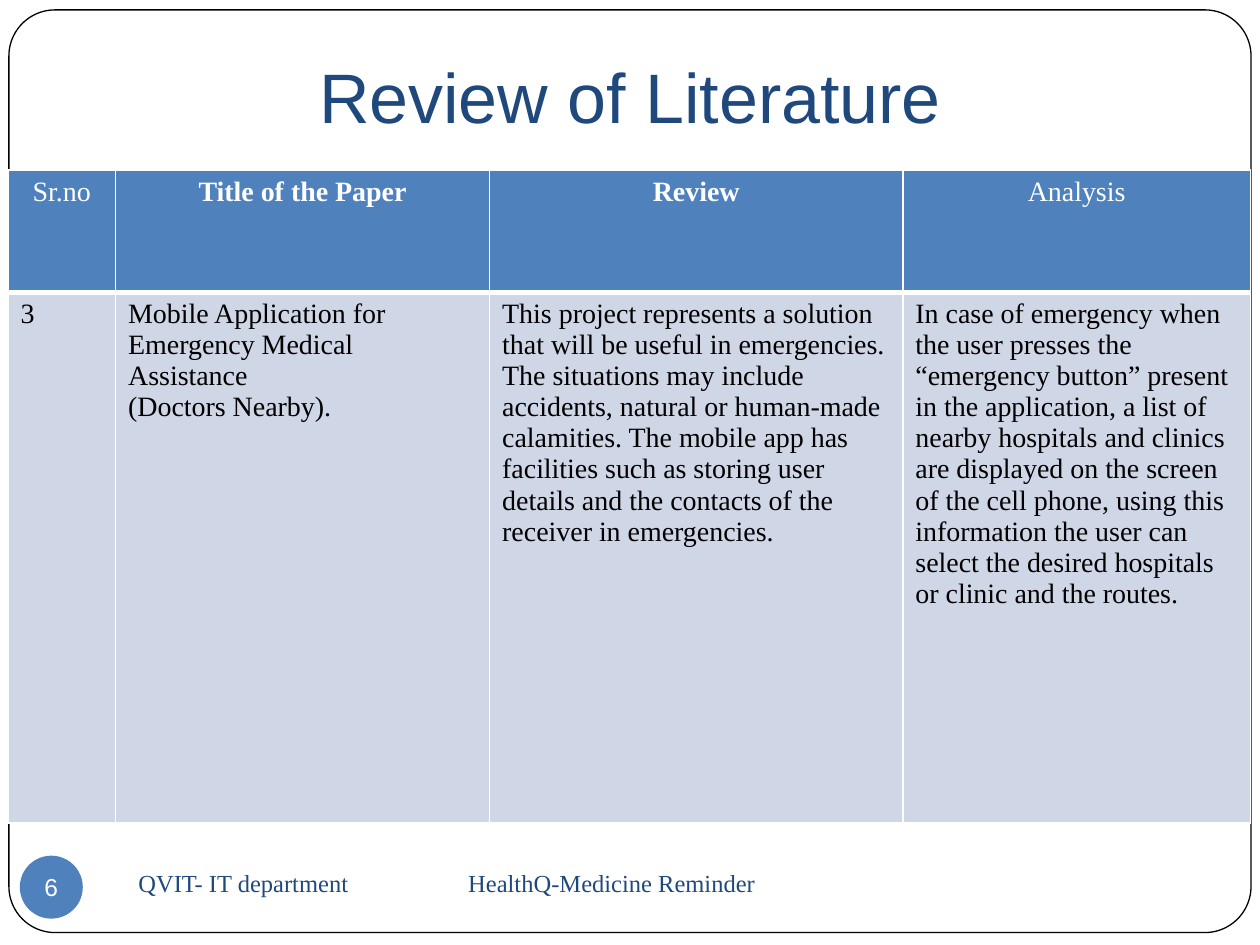
import pptx
import pptx.dml.color
import pptx.enum.shapes
import pptx.enum.text
import pptx.oxml
import pptx.oxml.ns
import pptx.util
from dataclasses import dataclass

Cm = pptx.util.Cm
PP_ALIGN = pptx.enum.text.PP_ALIGN
ANCHOR = pptx.enum.text.MSO_ANCHOR
SHAPE = pptx.enum.shapes.MSO_SHAPE


@dataclass(frozen=True)
class Theme:
    white: str = "FFFFFF"
    black: str = "000000"
    navy: str = "1F497D"
    blue: str = "4F81BD"
    pale: str = "CFD7E7"
    sans: str = "Arial"
    serif: str = "Times New Roman"
    title_size: int = 40
    table_size: int = 16
    footer_size: int = 14


theme = Theme()


def rgb(value):
    return pptx.dml.color.RGBColor.from_string(value)


def write(text_frame, text, font, size, color, align=PP_ALIGN.LEFT, bold=False):
    text_frame.text = text
    text_frame.word_wrap = True
    for paragraph in text_frame.paragraphs:
        paragraph.alignment = align
        for run in paragraph.runs:
            run.font.name = font
            run.font.size = pptx.util.Pt(size)
            run.font.color.rgb = rgb(color)
            run.font.bold = bold


presentation = pptx.Presentation()
presentation.slide_width = Cm(25.4)
presentation.slide_height = Cm(19.05)
slide = presentation.slides.add_slide(presentation.slide_layouts[6])

# Rounded page frame
frame = slide.shapes.add_shape(
    SHAPE.ROUNDED_RECTANGLE, Cm(0.18), Cm(0.2), Cm(25.04), Cm(18.6))
frame.adjustments[0] = 0.05
frame.shadow.inherit = False
frame.fill.solid()
frame.fill.fore_color.rgb = rgb(theme.white)
frame.line.color.rgb = rgb(theme.black)
frame.line.width = pptx.util.Pt(0.75)

# Title
title = slide.shapes.add_textbox(0, Cm(0.64), Cm(25.4), Cm(2.39))
title.text_frame.vertical_anchor = ANCHOR.BOTTOM
title.text_frame.margin_bottom = Cm(0.25)
write(title.text_frame, "Review of Literature", theme.sans, theme.title_size,
      theme.navy, PP_ALIGN.CENTER)

# Page number
badge = slide.shapes.add_shape(SHAPE.OVAL, Cm(0.4), Cm(17.25), Cm(1.27), Cm(1.27))
badge.shadow.inherit = False
badge.fill.solid()
badge.fill.fore_color.rgb = rgb(theme.blue)
badge.line.fill.background()
badge_frame = badge.text_frame
badge_frame.margin_left = badge_frame.margin_right = 0
badge_frame.margin_top = badge_frame.margin_bottom = 0
badge_frame.vertical_anchor = ANCHOR.MIDDLE
write(badge_frame, "6", theme.sans, theme.footer_size, theme.white, PP_ALIGN.CENTER)

# Literature table
column_widths = [2.17, 7.54, 8.33, 7.01]
row_heights = [2.46, 10.7]
headings = [("Sr.no", False), ("Title of the Paper", True),
            ("Review", True), ("Analysis", False)]
paper = [
    "3",
    "Mobile Application for Emergency Medical Assistance\n(Doctors Nearby).",
    "This project represents a solution that will be useful in emergencies. "
    "The situations may include accidents, natural or human-made calamities. "
    "The mobile app has facilities such as storing user details and the "
    "contacts of the receiver in emergencies.",
    "In case of emergency when the user presses the “emergency button” present "
    "in the application, a list of nearby hospitals and clinics are displayed "
    "on the screen of the cell phone, using this information the user can "
    "select the desired hospitals or clinic and the routes.",
]
table = slide.shapes.add_table(
    2, 4, Cm(0.16), Cm(3.43), Cm(sum(column_widths)), Cm(sum(row_heights))).table
for column, width in zip(table.columns, column_widths):
    column.width = Cm(width)
for row, height in zip(table.rows, row_heights):
    row.height = Cm(height)

for column_index, (heading, bold) in enumerate(headings):
    write(table.cell(0, column_index).text_frame, heading, theme.serif,
          theme.table_size, theme.white, PP_ALIGN.CENTER, bold)
    write(table.cell(1, column_index).text_frame, paper[column_index], theme.serif,
          theme.table_size, theme.black)

# Cell fills and white rules, heavier where the two rows meet
for row_index, fill in enumerate([theme.blue, theme.pale]):
    heavy_side = ["lnB", "lnT"][row_index]
    for cell in table.rows[row_index].cells:
        cell.fill.solid()
        cell.fill.fore_color.rgb = rgb(fill)
        for position, side in enumerate(["lnL", "lnR", "lnT", "lnB"]):
            width = pptx.util.Pt(3 if side == heavy_side else 1)
            cell._tc.get_or_add_tcPr().insert(position, pptx.oxml.parse_xml(
                f'<a:{side} {pptx.oxml.ns.nsdecls("a")} w="{int(width)}"><a:solidFill>'
                f'<a:srgbClr val="{theme.white}"/></a:solidFill></a:{side}>'))

# Footer, with a tab stop between its two parts
footer = slide.shapes.add_textbox(Cm(2.54), Cm(17.15), Cm(16.66), Cm(1.27))
footer.text_frame.vertical_anchor = ANCHOR.MIDDLE
write(footer.text_frame, "QVIT- IT department\tHealthQ-Medicine Reminder",
      theme.serif, theme.footer_size, theme.navy)
footer.text_frame.paragraphs[0]._p.get_or_add_pPr().append(pptx.oxml.parse_xml(
    f'<a:tabLst {pptx.oxml.ns.nsdecls("a")}>'
    f'<a:tab pos="{int(Cm(6.65))}" algn="l"/></a:tabLst>'))

presentation.save("out.pptx")
